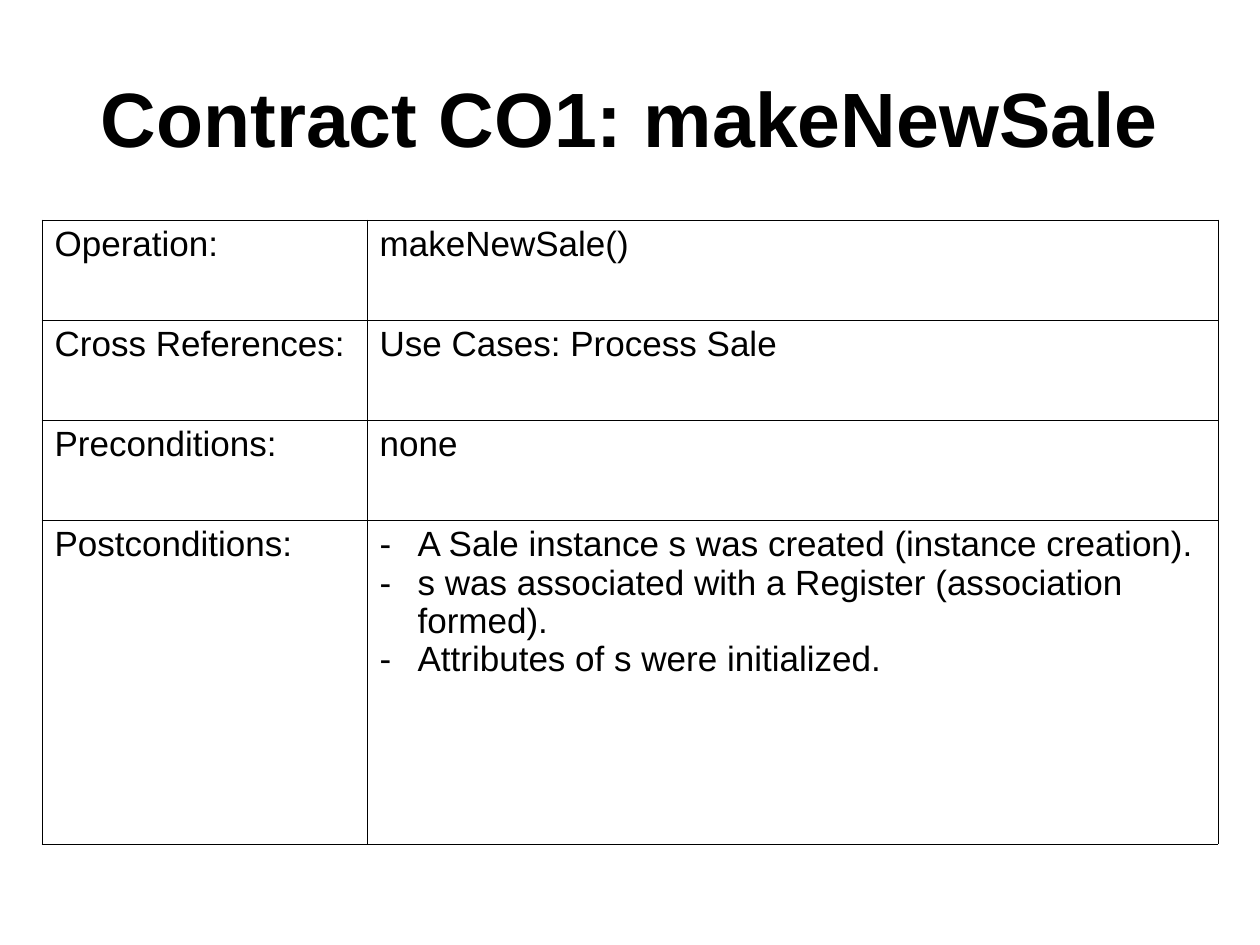
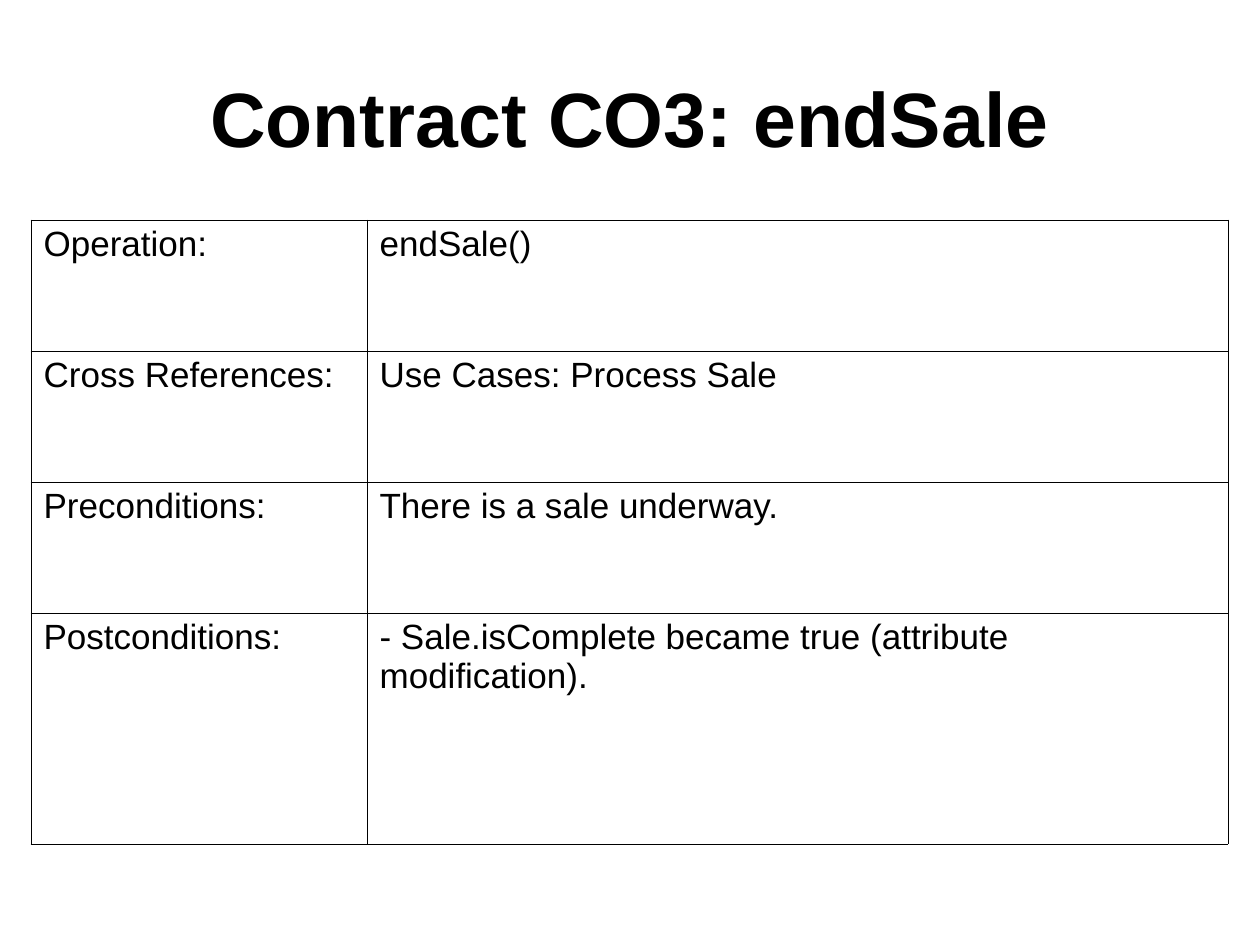
from dataclasses import dataclass

from lxml import etree
from pptx import Presentation
from pptx.dml.color import RGBColor
from pptx.enum.text import MSO_ANCHOR, PP_ALIGN
from pptx.oxml.ns import qn
from pptx.util import Emu, Pt

CENTER = PP_ALIGN.CENTER
MIDDLE = MSO_ANCHOR.MIDDLE
SCALE = 914400 / 126


@dataclass(frozen=True)
class Theme:
    ink: str = "000000"
    face: str = "Arial"
    title: int = 44
    body: int = 20
    rule: float = 0.45
    lead: float = 0.98
    hang: int = 48
    dash: int = 38


THEME = Theme()
LABELS = ["Operation:", "Cross References:", "Preconditions:", "Postconditions:"]


def px(n):
    return Emu(round(n * SCALE))


def add_run(para, text, size, bold=False):
    run = para.add_run()
    run.text = text
    look = {"name": THEME.face, "size": Pt(size), "bold": bold}
    for key, value in look.items():
        setattr(run.font, key, value)
    run.font.color.rgb = RGBColor.from_string(THEME.ink)


def add_color(parent, tag):
    holder = etree.SubElement(parent, qn(tag))
    etree.SubElement(holder, qn("a:srgbClr"), val=THEME.ink)


def add_title(slide, text):
    box = slide.shapes.add_textbox(px(63), px(38), px(1134), px(158))
    frame = box.text_frame
    for key, value in {"word_wrap": True, "vertical_anchor": MIDDLE}.items():
        setattr(frame, key, value)
    para = frame.paragraphs[0]
    para.alignment = CENTER
    add_run(para, text, THEME.title, True)


def set_hang(para, width):
    props = para._p.get_or_add_pPr()
    props.set("marL", str(px(width)))
    props.set("indent", str(-px(width)))
    return props


def set_dash(para):
    props = set_hang(para, THEME.dash)
    add_color(props, "a:buClr")
    etree.SubElement(props, qn("a:buFont"), typeface=THEME.face)
    etree.SubElement(props, qn("a:buChar"), char="-")


def set_rules(cell):
    """Draw a thin line on each side of a clear cell."""
    cell.fill.background()
    props = cell._tc.get_or_add_tcPr()
    for spot, side in enumerate("LRTB"):
        line = etree.Element(qn("a:ln" + side), w=str(Pt(THEME.rule)))
        add_color(line, "a:solidFill")
        props.insert(spot, line)


def fill_cell(cell, text):
    """Write a plain string, or a list as dashed points."""
    points = text if isinstance(text, list) else [text]
    frame = cell.text_frame
    for spot, point in enumerate(points):
        para = frame.add_paragraph() if spot else frame.paragraphs[0]
        if isinstance(text, list):
            set_dash(para)
        elif not text.startswith("-"):
            set_hang(para, THEME.hang)
        para.line_spacing = THEME.lead
        add_run(para, point, THEME.body)
    set_rules(cell)


def add_grid(slide, left, cols, rows, values):
    frame = slide.shapes.add_table(len(rows), len(cols), px(left), px(220),
                                   px(sum(cols)), px(sum(rows)))
    table = frame.table
    for key in ("first_row", "horz_banding"):
        setattr(table, key, False)
    for col, width in zip(table.columns, cols):
        col.width = px(width)
    for row, height, pair in zip(table.rows, rows, zip(LABELS, values)):
        row.height = px(height)
        for cell, text in zip(row.cells, pair):
            fill_cell(cell, text)


def add_contract(deck, title, left, cols, rows, values):
    slide = deck.slides.add_slide(deck.slide_layouts[6])
    add_title(slide, title)
    add_grid(slide, left, cols, rows, values)


def main():
    deck = Presentation()
    deck.slide_width, deck.slide_height = px(1260), px(945)
    add_contract(deck, "Contract CO1: makeNewSale", 42, [325, 851],
                 [100] * 3 + [324],
                 ["makeNewSale()", "Use Cases: Process Sale", "none",
                  ["A Sale instance s was created (instance creation).",
                   "s was associated with a Register (association formed).",
                   "Attributes of s were initialized."]])
    add_contract(deck, "Contract CO3: endSale", 31, [336, 861],
                 [131] * 3 + [231],
                 ["endSale()", "Use Cases: Process Sale",
                  "There is a sale underway.",
                  "- Sale.isComplete became true (attribute modification)."])
    deck.save("out.pptx")


if __name__ == "__main__":
    main()
